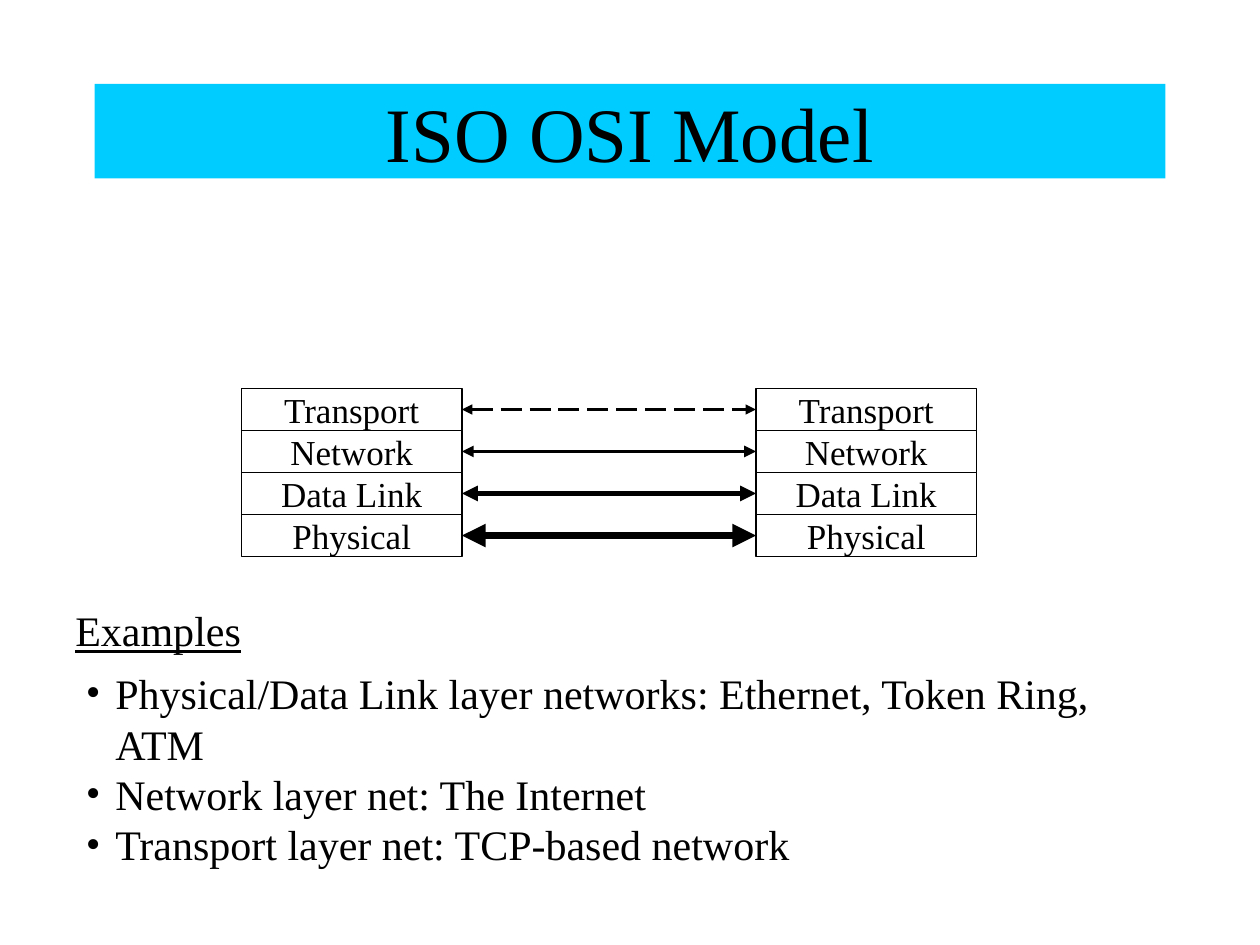
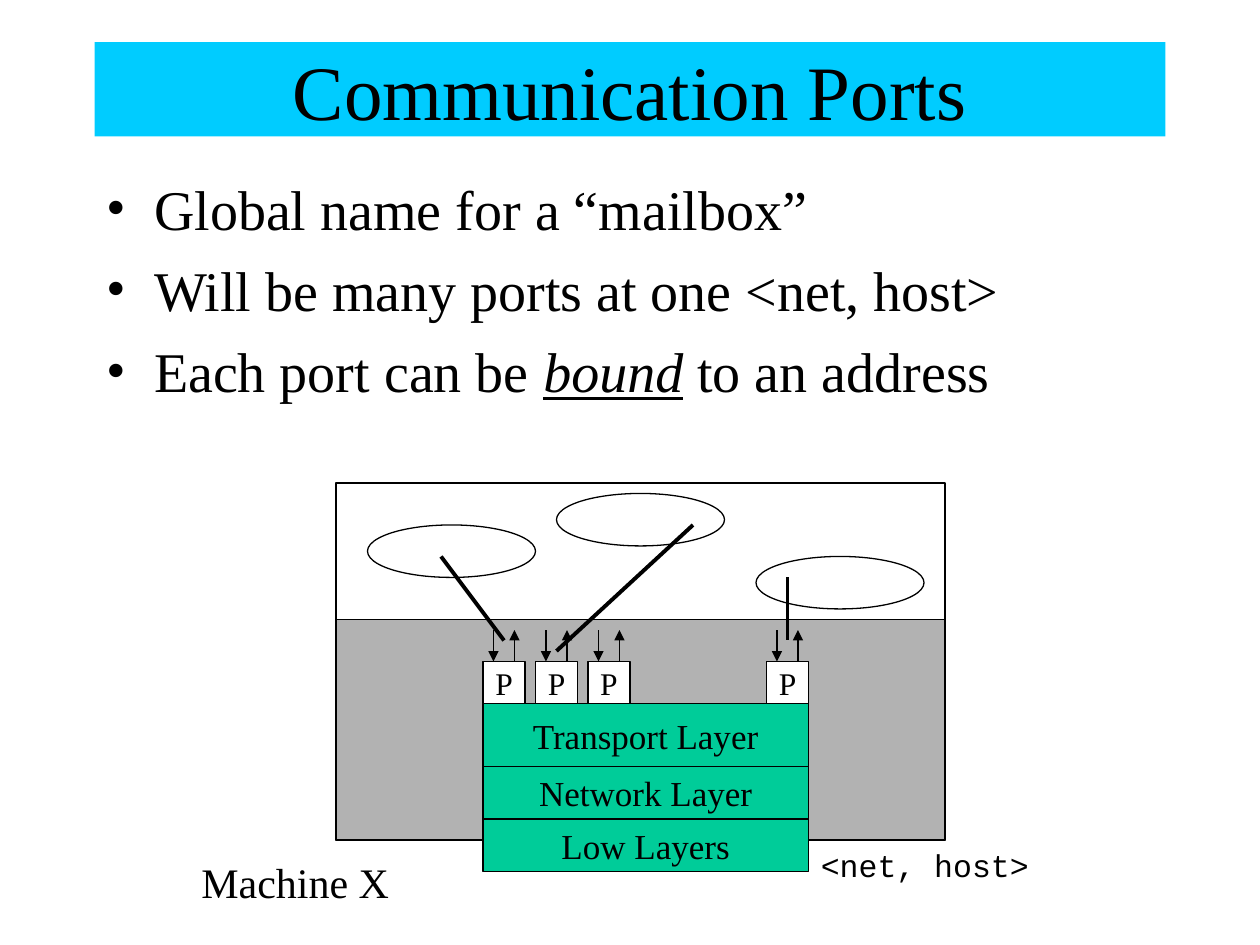
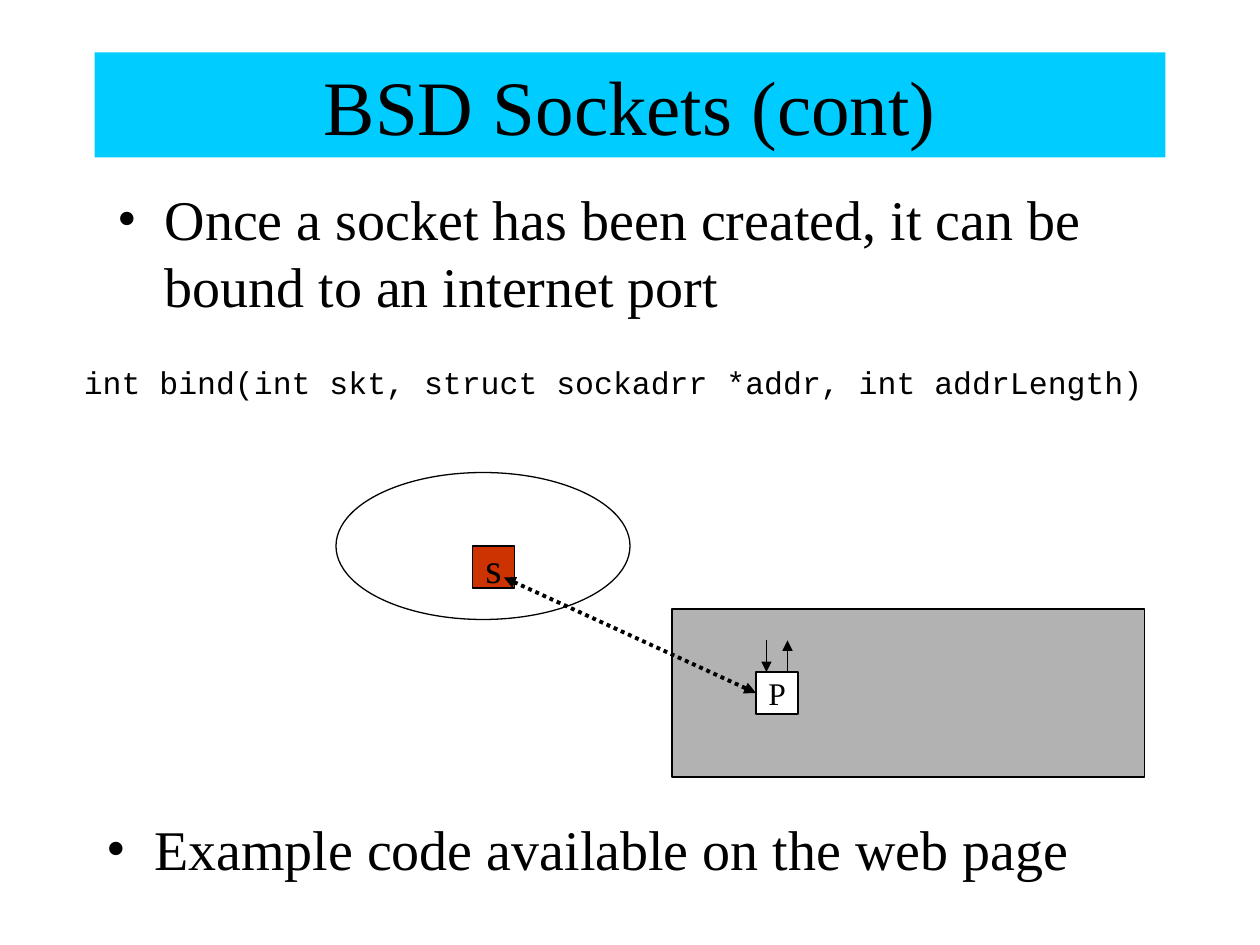
from dataclasses import dataclass
from typing import Any, NamedTuple

from lxml.etree import SubElement
from pptx import Presentation
from pptx.dml.color import RGBColor
from pptx.enum.dml import MSO_LINE
from pptx.enum.shapes import MSO_CONNECTOR, MSO_SHAPE
from pptx.enum.text import MSO_ANCHOR, MSO_AUTO_SIZE, PP_ALIGN
from pptx.oxml.ns import qn
from pptx.util import Cm, Pt

# Shared style
BLACK, WHITE, GREY = "000000", "FFFFFF", "B2B2B2"
SKY, GREEN, RED = "00CCFF", "00CC99", "CC3300"
SERIF, MONO = "Times New Roman", "Courier New"


class Area(NamedTuple):
    """Left, top, width and height in grid units."""
    left: float
    top: float
    width: float
    height: float


class Span(NamedTuple):
    text: str
    italic: bool = False
    underline: bool = False


@dataclass(frozen=True)
class TextStyle:
    size: float
    face: str = SERIF
    align: Any = PP_ALIGN.LEFT
    indent: float = 0
    space_before: float = 0


@dataclass(frozen=True)
class Line:
    start: tuple[float, float]
    end: tuple[float, float]
    width: float = 0.75
    head: bool = False
    tail: bool = False
    dash: Any = None


TITLE = TextStyle(44, align=PP_ALIGN.CENTER)
LAYER = TextStyle(20, align=PP_ALIGN.CENTER)
PORT = TextStyle(18, align=PP_ALIGN.CENTER)
SOCKET = TextStyle(24, align=PP_ALIGN.CENTER)
LABEL = TextStyle(24)
CODE = TextStyle(18, MONO)
BULLETS = TextStyle(32, indent=4.5, space_before=8)
SMALL_BULLETS = TextStyle(24, indent=2.8)


def grid(units: float) -> Cm:
    """Every slide is laid out on a grid of twelfths of 2.54 cm."""
    return Cm(units * 2.54 / 12)


def color(value: str) -> RGBColor:
    return RGBColor.from_string(value)


# Text
def add_bullet(para, indent: float) -> None:
    props = para._p.get_or_add_pPr()
    props.set("marL", str(grid(indent)))
    props.set("indent", str(-grid(indent)))
    SubElement(SubElement(props, qn("a:buClr")), qn("a:srgbClr"), val=BLACK)
    SubElement(props, qn("a:buFont"), typeface=SERIF)
    SubElement(props, qn("a:buChar"), char="•")


def write(frame, paragraphs: list[list[Span]], style: TextStyle) -> None:
    for index, spans in enumerate(paragraphs):
        para = frame.add_paragraph() if index else frame.paragraphs[0]
        para.alignment = style.align
        if index and style.space_before:
            para.space_before = Pt(style.space_before)
        if style.indent:
            add_bullet(para, style.indent)
        for span in spans:
            run = para.add_run()
            run.text = span.text
            run.font.name, run.font.size = style.face, Pt(style.size)
            run.font.color.rgb = color(BLACK)
            if span.italic:
                run.font.italic = True
            if span.underline:
                run.font.underline = True


def add_text(page, area: Area, paragraphs: list[list[Span]], style: TextStyle) -> None:
    box = page.shapes.add_textbox(*map(grid, area))
    box.text_frame.word_wrap = True
    write(box.text_frame, paragraphs, style)


# Shapes and lines
def add_box(shapes, area: Area, fill: str | None = WHITE, text: str = "",
            style: TextStyle = LAYER, kind=MSO_SHAPE.RECTANGLE):
    box = shapes.add_shape(kind, *map(grid, area))
    box.shadow.inherit = False
    if fill:
        box.fill.solid()
        box.fill.fore_color.rgb = color(fill)
    else:
        box.fill.background()
    box.line.color.rgb = color(BLACK)
    box.line.width = Pt(0.75)
    if text:
        box.text_frame.word_wrap = False
        box.text_frame.vertical_anchor = MSO_ANCHOR.MIDDLE
        write(box.text_frame, [[Span(text)]], style)
    return box


def add_line(shapes, line: Line):
    link = shapes.add_connector(MSO_CONNECTOR.STRAIGHT, *map(grid, line.start + line.end))
    link.line.color.rgb = color(BLACK)
    link.line.width = Pt(line.width)
    if line.dash:
        link.line.dash_style = line.dash
    outline = link.line._get_or_add_ln()
    for tag, shown in (("a:headEnd", line.head), ("a:tailEnd", line.tail)):
        if shown:
            SubElement(outline, qn(tag), type="triangle")
    SubElement(link._element.spPr, qn("a:effectLst"))
    return link


def add_port(page, left: float, top: float):
    """A port box with one arrow coming in and one going out."""
    group = page.shapes.add_group_shape()
    box = add_box(group.shapes, Area(left, top, 4, 4), WHITE, "P", PORT)
    add_line(group.shapes, Line((left + 1, top - 3), (left + 1, top), tail=True))
    add_line(group.shapes, Line((left + 3, top), (left + 3, top - 3), tail=True))
    return box


def add_page(deck, title: str, top: float, height: float = 9):
    page = deck.slides.add_slide(deck.slide_layouts[5])
    band = page.shapes.title
    band.left, band.top, band.width, band.height = map(grid, Area(9, top, 102, height))
    band.fill.solid()
    band.fill.fore_color.rgb = color(SKY)
    band.text_frame.auto_size = MSO_AUTO_SIZE.NONE
    band.text_frame.vertical_anchor = MSO_ANCHOR.MIDDLE
    write(band.text_frame, [[Span(title)]], TITLE)
    return page


# Slides
def build_osi_model(deck) -> None:
    page = add_page(deck, "ISO OSI Model", 8)
    layers = (("Transport", 1.5, MSO_LINE.LONG_DASH), ("Network", 2.25, None),
              ("Data Link", 3, None), ("Physical", 4.5, None))
    for row, (name, width, dash) in enumerate(layers):
        top = 37 + 4 * row
        left_box, right_box = (add_box(page.shapes, Area(left, top, 21, 4), WHITE, name)
                               for left in (23, 72))
        link = add_line(page.shapes, Line((44, top + 2), (72, top + 2), width, True, True, dash))
        link.begin_connect(left_box, 3)
        link.end_connect(right_box, 1)
    add_text(page, Area(7, 63, 106, 15.6), [
        [Span("Physical/Data Link layer networks: Ethernet, Token Ring, ATM")],
        [Span("Network layer net: The Internet")],
        [Span("Transport layer net: TCP-based network")],
    ], SMALL_BULLETS)
    add_text(page, Area(6, 57, 18.5, 6), [[Span("Examples", underline=True)]], LABEL)


def build_ports(deck) -> None:
    page = add_page(deck, "Communication Ports", 4)
    add_text(page, Area(9, 16, 102, 29), [
        [Span("Global name for a “mailbox”")],
        [Span("Will be many ports at one <net, host>")],
        [Span("Each port can be "), Span("bound", True, True), Span(" to an address")],
    ], BULLETS)

    # Machine with its system area, ports and layers
    add_box(page.shapes, Area(32, 59, 58, 21), GREY)
    add_box(page.shapes, Area(32, 46, 58, 34), None)
    for left in (46, 51, 56, 73):
        add_port(page, left, 63)
    top = 67
    for name, height in (("Transport Layer", 6), ("Network Layer", 5), ("Low Layers", 5)):
        add_box(page.shapes, Area(46, top, 31, height), GREEN, name)
        top += height

    # Processes bound to ports
    for left, top in ((35, 50), (53, 47), (72, 53)):
        add_box(page.shapes, Area(left, top, 16, 5), kind=MSO_SHAPE.OVAL)
    for start, end in (((42, 53), (48, 61)), ((66, 50), (53, 62)), ((75, 55), (75, 61))):
        add_line(page.shapes, Line(start, end, 2.25))
    add_text(page, Area(18, 81, 20.6, 6), [[Span("Machine X")]], LABEL)
    add_text(page, Area(77, 80, 22.6, 5), [[Span("<net, host>")]], CODE)


def build_sockets(deck) -> None:
    page = add_page(deck, "BSD Sockets (cont)", 5, 10)
    add_text(page, Area(10, 17, 102, 16), [
        [Span("Once a socket has been created, it can be bound to an internet port")],
    ], BULLETS)
    add_text(page, Area(6.8, 34, 103.8, 5), [
        [Span("int bind(int skt, struct sockadrr *addr, int addrLength)")],
    ], CODE)
    add_text(page, Area(9, 77, 102, 9), [
        [Span("Example code available on the web page")],
    ], BULLETS)

    # Socket bound to a port
    add_box(page.shapes, Area(64, 58, 45, 16), GREY)
    port = add_port(page, 72, 64)
    add_box(page.shapes, Area(32, 45, 28, 14), kind=MSO_SHAPE.OVAL)
    add_box(page.shapes, Area(45, 52, 4, 4), RED, "s", SOCKET)
    binding = add_line(page.shapes, Line((48, 55), (72, 66), 2.25, True, True, MSO_LINE.ROUND_DOT))
    binding.end_connect(port, 1)


def main() -> None:
    deck = Presentation()
    deck.slide_width, deck.slide_height = grid(120), grid(90)
    build_osi_model(deck)
    build_ports(deck)
    build_sockets(deck)
    deck.save("out.pptx")


if __name__ == "__main__":
    main()
